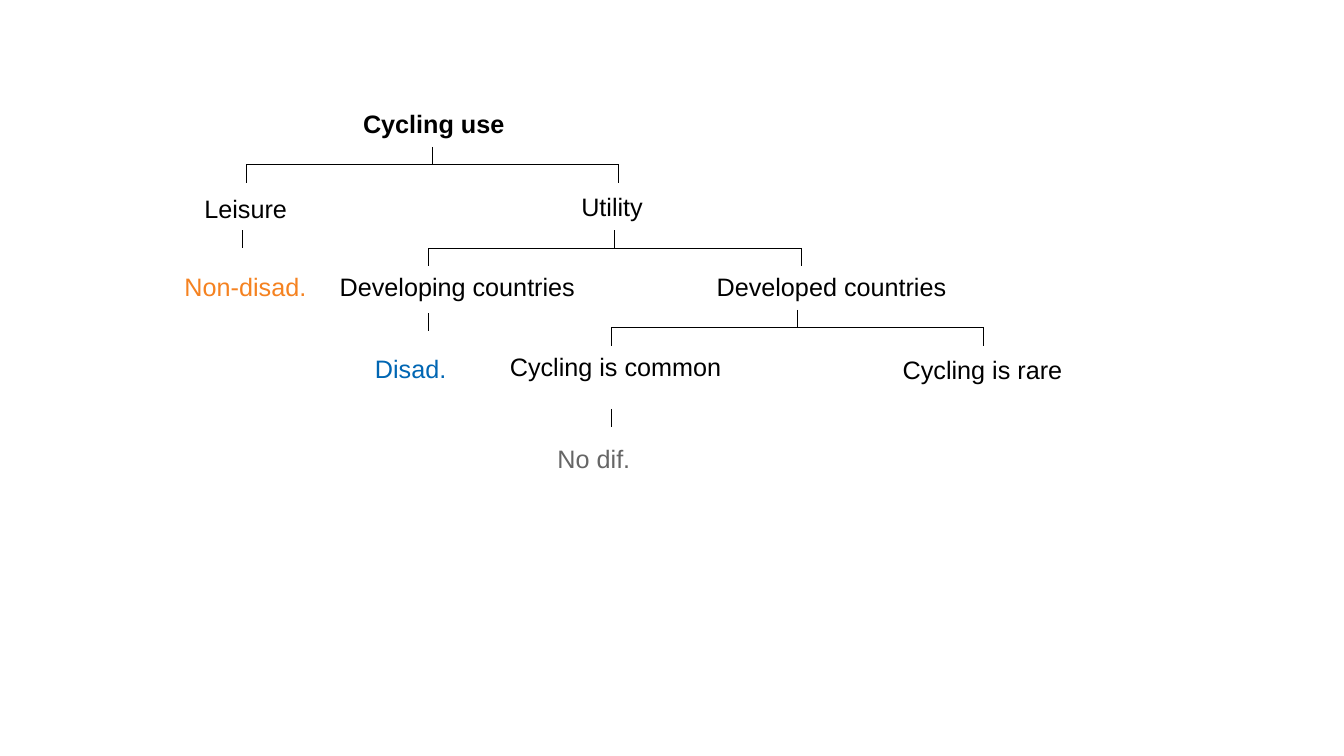
from dataclasses import dataclass

from lxml import etree
from pptx import Presentation
from pptx.dml.color import RGBColor
from pptx.enum.shapes import MSO_CONNECTOR
from pptx.oxml.ns import qn
from pptx.util import Cm, Pt

STRAIGHT = MSO_CONNECTOR.STRAIGHT
BLANK_LAYOUT = 6


@dataclass(frozen=True)
class Theme:
    font: str = "Arial"
    size: float = 18
    line_width: float = 0.75
    ink: str = "000000"
    orange: str = "F58220"
    blue: str = "0066B3"
    grey: str = "666666"


THEME = Theme()

# Lengths in centimetres, relative to the tree's box
TREE_BOX = (4.4, 2.6)
LABEL_HEIGHT = 0.97
WIDE = 8.6
BRANCH_WIDTH = 9.39
TICK = 0.45

# Text, left, top, width, colour, bold
LABELS = [
    ("Cycling use", 4.5, 0, WIDE, THEME.ink, True),
    ("Leisure", 0.5, 2.15, WIDE, THEME.ink, False),
    ("Utility", 10, 2.1, WIDE, THEME.ink, False),
    ("Non-disad.", 0, 4.11, WIDE, THEME.orange, False),
    ("Developing countries", 3.91, 4.11, WIDE, THEME.ink, False),
    ("Developed countries", 13.41, 4.11, WIDE, THEME.ink, False),
    ("Disad.", 4.8, 6.18, 3.1, THEME.blue, False),
    ("Cycling is common", 8.2, 6.14, WIDE, THEME.ink, False),
    ("Cycling is rare", 18.1, 6.2, 5, THEME.ink, False),
    ("No dif.", 9.4, 8.45, WIDE, THEME.grey, False),
]
# Left end of each fork's crossbar
FORKS = [(1.8, 1.55), (6.4, 3.65), (11, 5.66)]
# Top of each tick that leads to an outcome
OUTCOME_TICKS = [(1.7, 3.2), (6.4, 5.29), (11, 7.7)]


def add_label(page, text, left, top, width, color, bold):
    box = page.shapes.add_textbox(Cm(left), Cm(top), Cm(width), Cm(LABEL_HEIGHT))
    box.text_frame.word_wrap = True
    para = box.text_frame.paragraphs[0]
    para.text = text
    para.font.name = THEME.font
    para.font.size = Pt(THEME.size)
    para.font.bold = bold
    para.font.color.rgb = RGBColor.from_string(color)


def add_line(page, left, top, width=0, height=0):
    line = page.shapes.add_connector(
        STRAIGHT, Cm(left), Cm(top), Cm(left + width), Cm(top + height))
    line.line.width = Pt(THEME.line_width)
    line.line.color.rgb = RGBColor.from_string(THEME.ink)
    etree.SubElement(line._element.spPr, qn("a:effectLst"))


def add_fork(page, left, top):
    add_line(page, left, top, width=BRANCH_WIDTH)
    add_line(page, left + BRANCH_WIDTH / 2, top - TICK, height=TICK)
    for end in (left, left + BRANCH_WIDTH):
        add_line(page, end, top, height=TICK)


def add_tree(page, box):
    box_left, box_top = box
    # Branch lines
    for left, top in FORKS:
        add_fork(page, box_left + left, box_top + top)
    for left, top in OUTCOME_TICKS:
        add_line(page, box_left + left, box_top + top, height=TICK)
    # Node labels
    for text, left, top, width, color, bold in LABELS:
        add_label(page, text, box_left + left, box_top + top, width, color, bold)


def main():
    deck = Presentation()
    deck.slide_width, deck.slide_height = Cm(33.87), Cm(19.05)
    page = deck.slides.add_slide(deck.slide_layouts[BLANK_LAYOUT])
    add_tree(page, TREE_BOX)
    deck.save("out.pptx")


if __name__ == "__main__":
    main()
